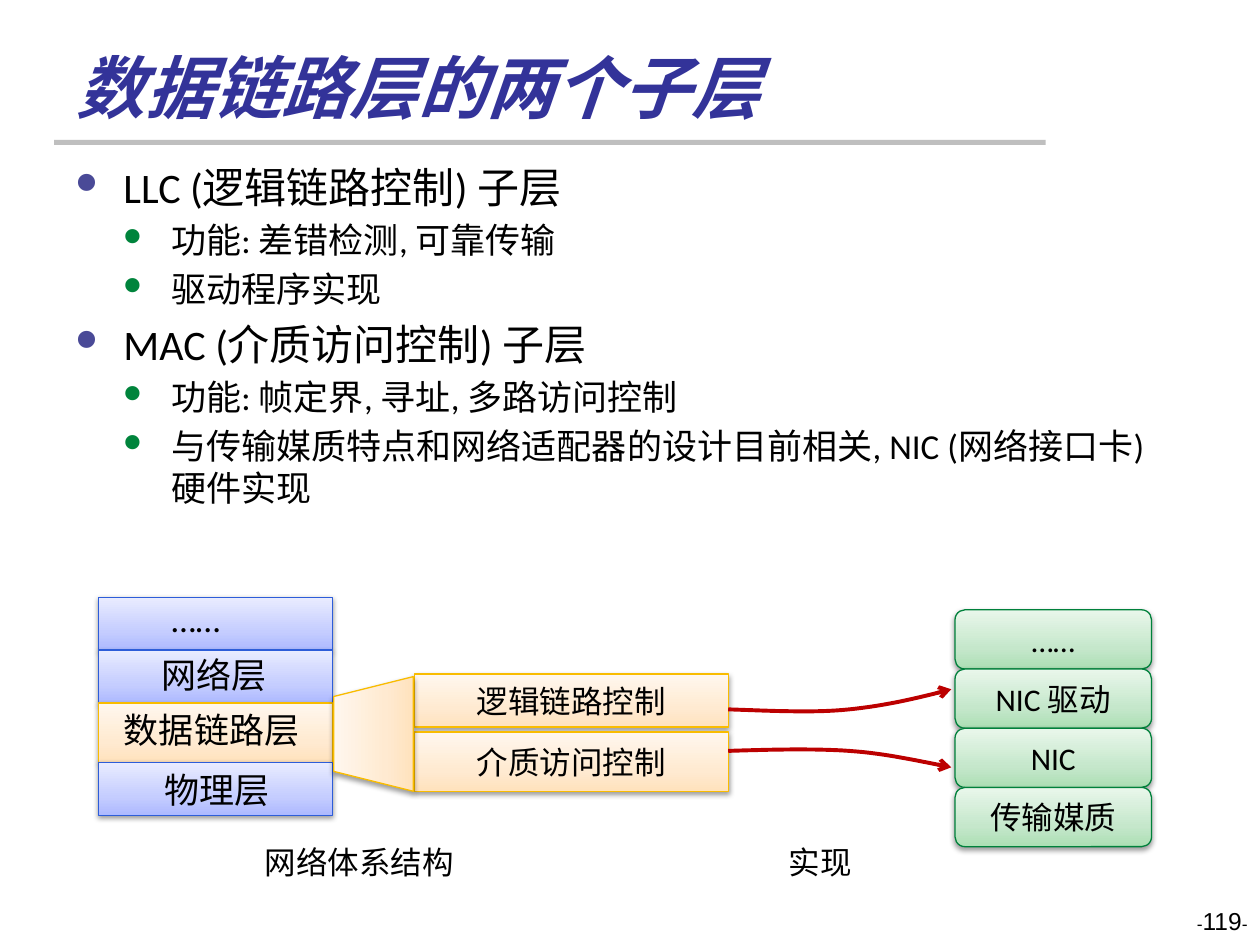
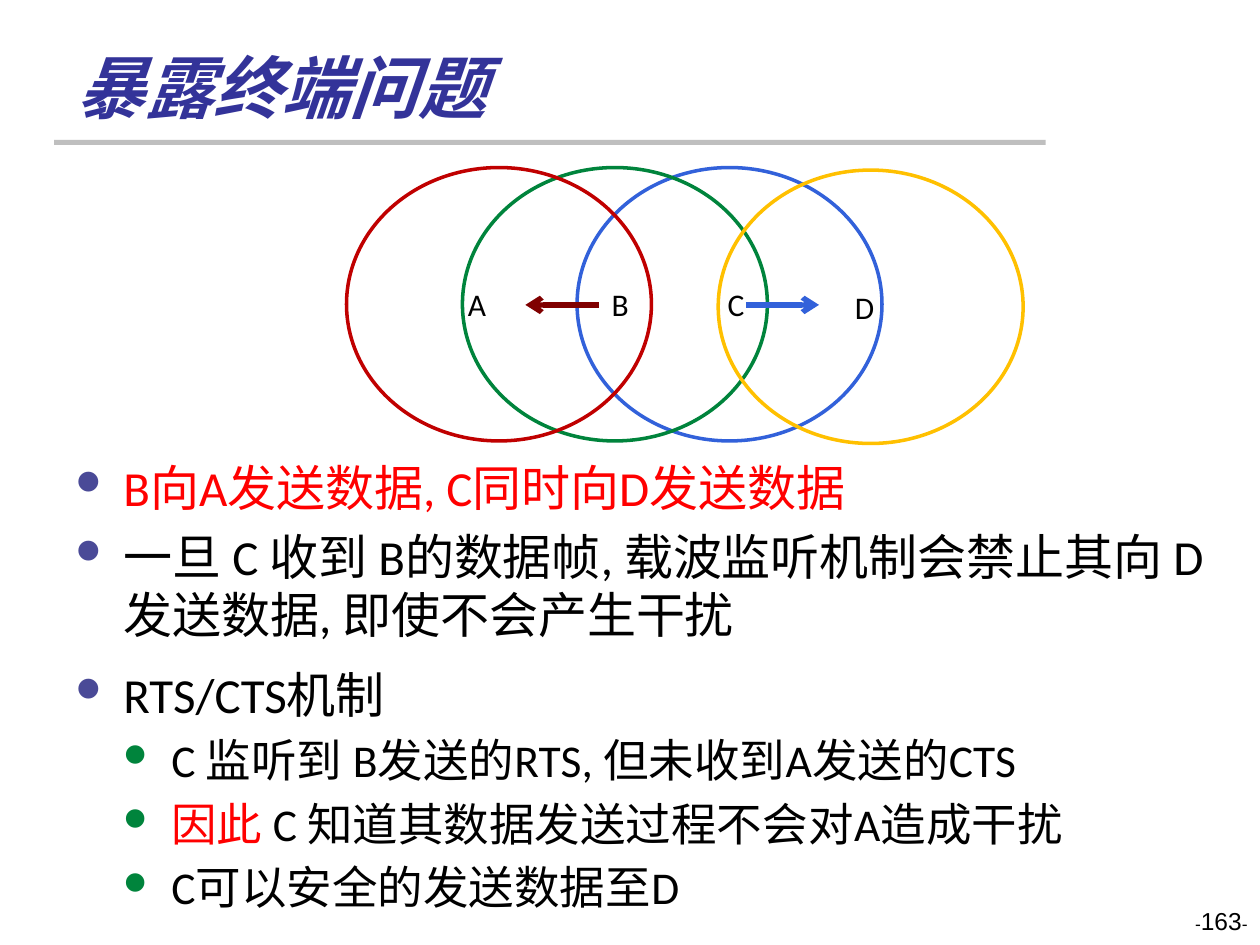
from lxml import etree
from pptx import Presentation
from pptx.dml.color import RGBColor
from pptx.enum.shapes import MSO_CONNECTOR, MSO_SHAPE
from pptx.enum.text import MSO_ANCHOR, MSO_AUTO_SIZE, PP_ALIGN
from pptx.oxml.ns import qn
from pptx.util import Inches, Pt

BLACK = RGBColor(0x00, 0x00, 0x00)
RED = RGBColor(0xFF, 0x00, 0x00)
TITLE_BLUE = RGBColor(0x33, 0x33, 0x99)
BAND_GREY = RGBColor(0xBF, 0xBF, 0xBF)
BULLET_COLORS = (RGBColor(0x4A, 0x4A, 0x97), RGBColor(0x00, 0x84, 0x3C))
CURVE_RED = RGBColor(0xBC, 0x00, 0x00)
SIGNAL_MAROON = RGBColor(0x80, 0x00, 0x00)
RANGE_BLUE = RGBColor(0x32, 0x61, 0xDA)
RANGE_GREEN = RGBColor(0x00, 0x84, 0x3C)
RANGE_RED = RGBColor(0xC0, 0x00, 0x00)
RANGE_GOLD = RGBColor(0xFF, 0xC0, 0x00)


def palette(line, *stops):
    """Return the outline and the gradient colours of a box style."""
    return RGBColor.from_string(line), [RGBColor.from_string(stop) for stop in stops]


BLUE_BOX = palette("2D5DD9", "ADB9FF", "C5CDFF", "E9ECFF")
ORANGE_BOX = palette("F9BC00", "FFE2BD", "FFEAD1", "FFF7EE")
GREEN_BOX = palette("00813B", "ACDFB4", "C5E7CB", "E9F7EB")
LATIN = "Calibri"
CJK = "Noto Sans CJK SC"


def add_xml(parent, tag, **attributes):
    """Append a drawing element and return it."""
    return etree.SubElement(parent, qn(tag), {k: str(v) for k, v in attributes.items()})


def inches(*values):
    """Convert several lengths to Inches."""
    return [Inches(value) for value in values]


def add_run(paragraph, text, size, color=BLACK, name=LATIN, **styles):
    """Add a formatted run."""
    run = paragraph.add_run()
    run.text = text
    formats = {"size": Pt(size), "name": name, **styles}
    for attribute, value in formats.items():
        setattr(run.font, attribute, value)
    run.font.color.rgb = color
    add_xml(run.font._element, "a:ea", typeface=name)


def format_frame(frame, **formats):
    """Apply text frame settings."""
    for attribute, value in formats.items():
        setattr(frame, attribute, value)


def place(shape, box):
    """Move and resize a shape."""
    shape.left, shape.top, shape.width, shape.height = inches(*box)


def add_label(slide, box, text, size, name=CJK, align=PP_ALIGN.CENTER, wrap=True):
    """Add a text box with one line of text."""
    frame = slide.shapes.add_textbox(*inches(*box)).text_frame
    frame.word_wrap = wrap
    paragraph = frame.paragraphs[0]
    paragraph.alignment = align
    add_run(paragraph, text, size, name=name)


def add_gradient_box(slide, kind, box, colors, text=None):
    """Add a shaded box with a soft shadow and optional centred text."""
    line_color, stops = colors
    shape = slide.shapes.add_shape(kind, *inches(*box))
    shape.fill.background()
    properties = shape.fill._xPr
    blank = properties.find(qn("a:noFill"))
    gradient = etree.Element(qn("a:gradFill"), rotWithShape="1")
    stop_list = add_xml(gradient, "a:gsLst")
    for position, color in zip((0, 35000, 100000), stops):
        add_xml(add_xml(stop_list, "a:gs", pos=position), "a:srgbClr", val=color)
    add_xml(gradient, "a:lin", ang=16200000, scaled=1)
    properties.replace(blank, gradient)
    shape.line.color.rgb = line_color
    shape.line.width = Pt(0.75)
    shape.shadow.inherit = False
    shadow = add_xml(properties.find(qn("a:effectLst")), "a:outerShdw",
                     blurRad=Pt(3.1), dist=Pt(1.6), dir=5400000, rotWithShape=0)
    add_xml(add_xml(shadow, "a:srgbClr", val=BLACK), "a:alpha", val=38000)
    if text:
        frame = shape.text_frame
        format_frame(frame, vertical_anchor=MSO_ANCHOR.MIDDLE)
        frame.paragraphs[0].alignment = PP_ALIGN.CENTER
        add_run(frame.paragraphs[0], text, 18)
    return shape


def style_arrow(shape, color, width):
    """Colour a line and give it an open arrowhead at its end."""
    shape.line.color.rgb = color
    shape.line.width = Pt(width)
    add_xml(shape.line._get_or_add_ln(), "a:tailEnd", type="arrow")


def add_base(presentation, title, number, title_font):
    """Add a slide with title, band and page number."""
    slide = presentation.slides.add_slide(presentation.slide_layouts[1])
    band = slide.shapes.add_shape(MSO_SHAPE.RECTANGLE, *inches(0.43, 1.11, 7.87, 0.04))
    band.fill.solid()
    band.fill.fore_color.rgb = BAND_GREY
    band.line.fill.background()
    band.shadow.inherit = False
    heading = slide.shapes.title
    place(heading, (0.51, 0.28, 8.25, 0.78))
    format_frame(heading.text_frame, vertical_anchor=MSO_ANCHOR.BOTTOM,
                 auto_size=MSO_AUTO_SIZE.NONE)
    paragraph = heading.text_frame.paragraphs[0]
    paragraph.alignment = PP_ALIGN.LEFT
    add_run(paragraph, title, 39, TITLE_BLUE, title_font, bold=True, italic=True)
    frame = slide.shapes.add_textbox(*inches(7.67, 7.14, 2.33, 0.5)).text_frame
    frame.word_wrap = True
    frame.paragraphs[0].alignment = PP_ALIGN.RIGHT
    for text, size in (("-", 10), (number, 14), ("-", 10)):
        add_run(frame.paragraphs[0], text, size, name="Arial")
    return slide


def fill_body(slide, box, items, sizes):
    """Fill the body placeholder with (level, runs, space after) items."""
    body = slide.placeholders[1]
    place(body, box)
    frame = body.text_frame
    frame.auto_size = MSO_AUTO_SIZE.NONE
    for index, (level, runs, space_after) in enumerate(items):
        paragraph = frame.add_paragraph() if index else frame.paragraphs[0]
        paragraph.level = level
        properties = paragraph._p.get_or_add_pPr()
        properties.set("marL", str(Inches(0.38 * (level + 1))))
        properties.set("indent", str(-Inches(0.38)))
        add_xml(add_xml(properties, "a:buClr"), "a:srgbClr", val=BULLET_COLORS[level])
        add_xml(properties, "a:buSzPct", val=70000)
        add_xml(properties, "a:buFont", typeface="Wingdings")
        add_xml(properties, "a:buChar", char="l")
        if not index:
            paragraph.space_before = Pt(0)
        if space_after:
            paragraph.space_after = Pt(space_after)
        for text, color in runs:
            add_run(paragraph, text, sizes[level], color)


def add_layer_stack(slide, left, top):
    """Draw the stack of network layers."""
    width = 1.86
    layers = (
        (0.42, BLUE_BOX, "……", (0.47, -0.05, 0.61, 0.44), LATIN),
        (0.42, BLUE_BOX, "网络层", (0.2, -0.02, 1.44, 0.44), CJK),
        (0.47, ORANGE_BOX, "数据链路层", (0, -0.01, 1.8, 0.49), CJK),
        (0.42, BLUE_BOX, "物理层", (0.24, 0, 1.41, 0.44), CJK),
    )
    for height, colors, text, (dx, dy, label_width, label_height), name in layers:
        add_gradient_box(slide, MSO_SHAPE.RECTANGLE, (left, top, width, height), colors)
        add_label(slide, (left + dx, top + dy, label_width, label_height), text, 20, name,
                  wrap=name == CJK)
        top += height


def add_sublayers(slide, left, top):
    """Draw the two sublayers and the funnel that leads to them."""
    for text, dy, height in (("逻辑链路控制", 0, 0.42), ("介质访问控制", 0.46, 0.47)):
        add_gradient_box(slide, MSO_SHAPE.RECTANGLE, (left, top + dy, 2.49, height),
                         ORANGE_BOX, text)
    funnel = add_gradient_box(slide, MSO_SHAPE.TRAPEZOID,
                              (left - 0.78, top + 0.16, 0.91, 0.63), ORANGE_BOX)
    funnel.rotation = 270


def add_implementation_stack(slide, left, top):
    """Draw the stack of implementing parts."""
    height = 0.47
    for row, text in enumerate(("……", "NIC 驱动", "NIC", "传输媒质")):
        add_gradient_box(slide, MSO_SHAPE.ROUNDED_RECTANGLE,
                         (left, top + row * height, 1.56, height), GREEN_BOX, text)


def bezier_point(controls, t):
    """Return the point at t on a cubic curve."""
    weights = ((1 - t) ** 3, 3 * t * (1 - t) ** 2, 3 * t * t * (1 - t), t ** 3)
    return tuple(Inches(sum(w * point[axis] for w, point in zip(weights, controls)))
                 for axis in (0, 1))


def add_curved_arrow(slide, left, top, heights):
    """Draw a two-part curved arrow through the given control heights."""
    offsets = (0, 0.33, 0.67, 0.96, 1.25, 1.51, 1.77)
    controls = [(left + dx, top + dy) for dx, dy in zip(offsets, heights)]
    steps = 16
    points = [bezier_point(controls[start:start + 4], step / steps)
              for start in (0, 3) for step in range(1, steps + 1)]
    builder = slide.shapes.build_freeform(*inches(*controls[0]))
    builder.add_line_segments(points, close=False)
    curve = builder.convert_to_shape()
    curve.fill.background()
    curve.shadow.inherit = False
    style_arrow(curve, CURVE_RED, 2.25)


def add_radio_ranges(slide, left, top):
    """Draw the four overlapping radio ranges and the two transmissions."""
    ranges = (
        ("C", 1.83, 0, 0.84, RANGE_BLUE),
        ("B", 0.92, 0, 0.83, RANGE_GREEN),
        ("A", 0, 0, 0.61, RANGE_RED),
        ("D", 2.95, 0.02, 0.73, RANGE_GOLD),
    )
    for station, dx, dy, inset, color in ranges:
        circle = slide.shapes.add_shape(MSO_SHAPE.OVAL,
                                        *inches(left + dx, top + dy, 2.42, 2.17))
        circle.fill.background()
        circle.line.color.rgb = color
        circle.line.width = Pt(2)
        circle.shadow.inherit = False
        format_frame(circle.text_frame, vertical_anchor=MSO_ANCHOR.MIDDLE,
                     margin_left=Inches(inset))
        circle.text_frame.paragraphs[0].alignment = PP_ALIGN.LEFT
        add_run(circle.text_frame.paragraphs[0], station, 18)
    y = top + 1.09
    for start, end, color in ((2, 1.42, SIGNAL_MAROON), (3.17, 3.75, RANGE_BLUE)):
        arrow = slide.shapes.add_connector(MSO_CONNECTOR.STRAIGHT,
                                           *inches(left + start, y, left + end, y))
        style_arrow(arrow, color, 3)
        add_xml(arrow._element.spPr, "a:effectLst")


def build_sublayer_slide(presentation):
    """Build the slide on the two data link sublayers."""
    slide = add_base(presentation, "数据链路层的两个子层", "119", LATIN)
    lines = (
        (0, "LLC (逻辑链路控制) 子层"),
        (1, "功能: 差错检测, 可靠传输"),
        (1, "驱动程序实现"),
        (0, "MAC (介质访问控制) 子层"),
        (1, "功能: 帧定界, 寻址, 多路访问控制"),
        (1, "与传输媒质特点和网络适配器的设计目前相关, NIC (网络接口卡) 硬件实现"),
    )
    items = [(level, [(text, BLACK)], 0) for level, text in lines]
    fill_body(slide, (0.5, 1.23, 9, 5.83), items, (24, 20))
    add_layer_stack(slide, 0.78, 4.74)
    add_sublayers(slide, 3.29, 5.35)
    add_implementation_stack(slide, 7.58, 4.84)
    add_curved_arrow(slide, 5.78, 5.47, (0.16, 0.17, 0.19, 0.16, 0.13, 0.07, 0))
    add_curved_arrow(slide, 5.78, 5.94, (0.02, 0.01, 0, 0.02, 0.04, 0.1, 0.15))
    add_label(slide, (1.95, 6.64, 1.8, 0.4), "网络体系结构", 18, wrap=False)
    add_label(slide, (5.52, 6.64, 1.98, 0.4), "实现", 18)


def build_exposed_terminal_slide(presentation):
    """Build the slide on the exposed terminal problem."""
    slide = add_base(presentation, "暴露终端问题", "163", CJK)
    items = (
        (0, [("B向A发送数据, C同时向D发送数据", RED)], 0),
        (0, [("一旦 C 收到 B的数据帧, 载波监听机制会禁止其向 D发送数据, 即使不会产生干扰",
              BLACK)], 6),
        (0, [("RTS/CTS机制", BLACK)], 0),
        (1, [("C 监听到 B发送的RTS, 但未收到A发送的CTS", BLACK)], 0),
        (1, [("因此 ", RED), ("C 知道其数据发送过程不会对A造成干扰", BLACK)], 0),
        (1, [("C可以安全的发送数据至D", BLACK)], 0),
    )
    fill_body(slide, (0.5, 3.58, 9.25, 3.83), items, (28, 26))
    add_radio_ranges(slide, 2.75, 1.33)


def main():
    """Build and save the presentation."""
    presentation = Presentation()
    presentation.slide_width, presentation.slide_height = inches(10, 7.5)
    build_sublayer_slide(presentation)
    build_exposed_terminal_slide(presentation)
    presentation.save("out.pptx")


if __name__ == "__main__":
    main()
